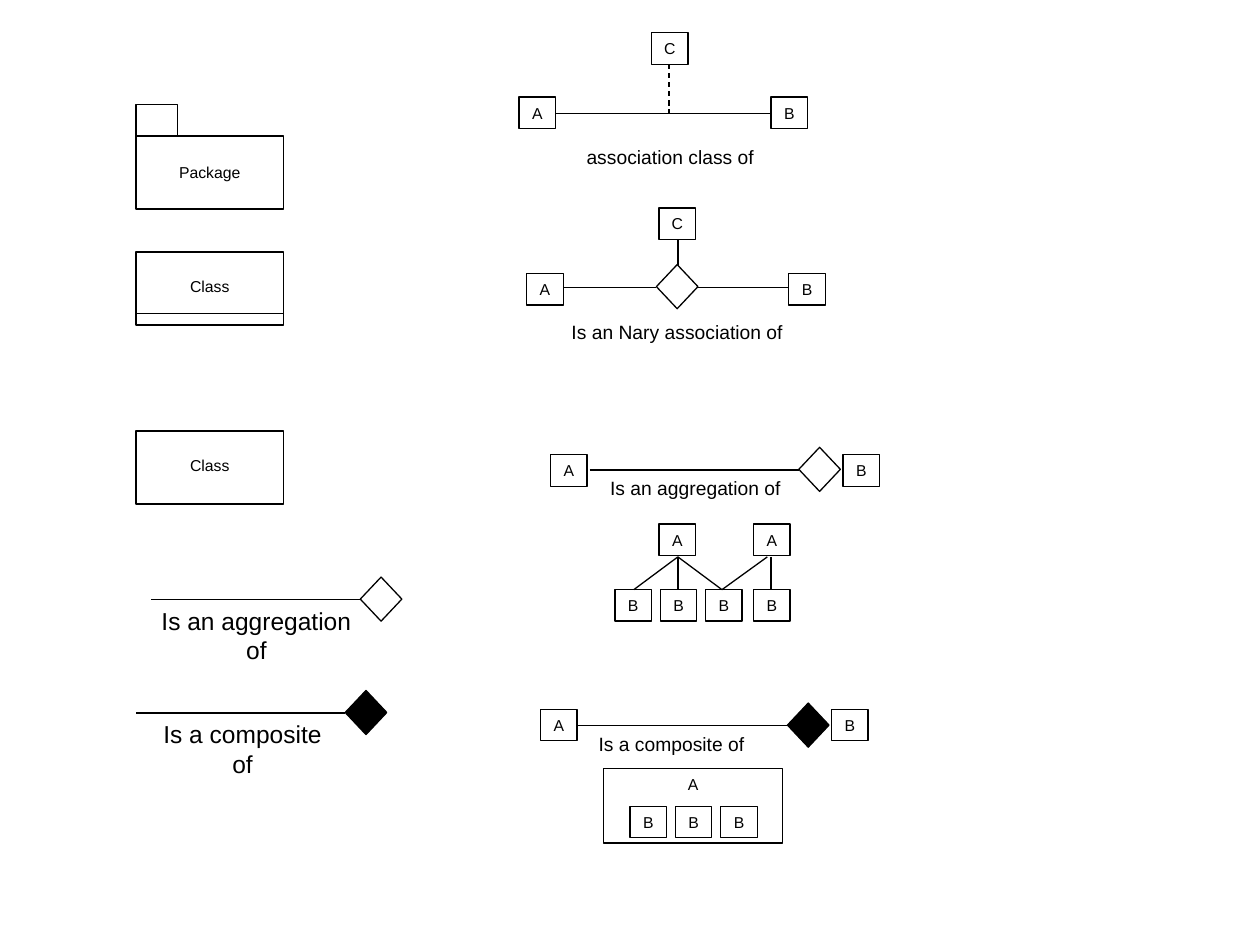
from lxml import etree
from pptx import Presentation
from pptx.dml.color import RGBColor
from pptx.enum.dml import MSO_LINE
from pptx.enum.shapes import MSO_CONNECTOR, MSO_SHAPE
from pptx.enum.text import MSO_ANCHOR, PP_ALIGN
from pptx.oxml.ns import qn
from pptx.util import Inches, Pt

RECT, DIAMOND = MSO_SHAPE.RECTANGLE, MSO_SHAPE.DIAMOND
STRAIGHT, DASH = MSO_CONNECTOR.STRAIGHT, MSO_LINE.DASH
TOP, MIDDLE, CENTER = MSO_ANCHOR.TOP, MSO_ANCHOR.MIDDLE, PP_ALIGN.CENTER
BLACK, WHITE = "000000", "FFFFFF"
TAG_W, TAG_H = 0.29, 0.25
DIA_W, DIA_H = 0.33, 0.35
LINK_W = 1.66
STEP = 0.36

prs = Presentation()
prs.slide_width, prs.slide_height = Inches(10), Inches(7.5)
slide = prs.slides.add_slide(prs.slide_layouts[6])
shapes = slide.shapes


def color(code):
    return RGBColor.from_string(code)


def write(shape, text, size, anchor=MIDDLE, wrap=False, side=0.0):
    frame = shape.text_frame
    frame.text = text
    frame.word_wrap = wrap
    frame.vertical_anchor = anchor
    frame.margin_left = frame.margin_right = Inches(side)
    para = frame.paragraphs[0]
    para.alignment = CENTER
    font = para.runs[0].font
    font.name, font.size = "Arial", Pt(size)
    font.color.rgb = color(BLACK)


def draw(kind, x, y, w, h, fill=WHITE):
    shape = shapes.add_shape(kind, Inches(x), Inches(y), Inches(w), Inches(h))
    shape.shadow.inherit = False
    shape.fill.solid()
    shape.fill.fore_color.rgb = color(fill)
    shape.line.color.rgb = color(BLACK)
    shape.line.width = Pt(0.75)
    return shape


def box(x, y, w, h, text, anchor=MIDDLE):
    shape = draw(RECT, x, y, w, h)
    write(shape, text, 9, anchor)
    return shape


def tag(x, y, text):
    box(x, y, TAG_W, TAG_H, text)


def line(x1, y1, x2, y2, dash=None):
    rule = shapes.add_connector(
        STRAIGHT, Inches(x1), Inches(y1), Inches(x2), Inches(y2))
    rule.line.color.rgb = color(BLACK)
    rule.line.width = Pt(0.75)
    if dash:
        rule.line.dash_style = dash
    props = rule._element.find(qn("p:spPr"))
    etree.SubElement(props, qn("a:effectLst"))


def label(x, y, w, text, size=11, wrap=False):
    area = shapes.add_textbox(Inches(x), Inches(y), Inches(w), Inches(0.29))
    write(area, text, size, TOP, wrap, 0.12 if wrap else 0)


# Left column: package and class symbols
def package(x, y):
    draw(RECT, x, y, 0.33, 0.25)
    box(x, y + 0.25, 1.17, 0.58, "Package")


def entity(x, y, rule=False):
    shape = box(x, y, 1.17, 0.58, "Class")
    shape.text_frame.margin_bottom = Inches(0.09)
    if rule:
        line(x, y + 0.49, x + 1.17, y + 0.49)


# Line that ends in a diamond, with its label below
def link(x, y, fill, text, left, width, size=11, wrap=False):
    line(x, y, x + LINK_W, y)
    draw(DIAMOND, x + LINK_W, y - 0.18, DIA_W, DIA_H, fill)
    label(x + left, y, width, text, size, wrap)


# Association class: A and B joined, C hung on the line
def assoc(x, y):
    mid = y + 0.64
    line(x + TAG_W, mid, x + 2, mid)
    line(x + 1.19, y + TAG_H, x + 1.19, mid, DASH)
    tag(x + 1.05, y, "C")
    tag(x, y + 0.51, "A")
    tag(x + 2, y + 0.51, "B")
    label(x + 0.43, y + 0.84, 1.54, "association class of")


# N-ary association: three classes around a diamond
def nary(x, y):
    mid, hub = y + 0.63, x + 1.03
    line(x + TAG_W, mid, hub, mid)
    line(hub + DIA_W, mid, x + 2.08, mid)
    line(x + 1.2, y + TAG_H, x + 1.2, y + 0.46)
    draw(DIAMOND, hub, y + 0.45, DIA_W, DIA_H)
    tag(x + 1.05, y, "C")
    tag(x, y + 0.52, "A")
    tag(x + 2.08, y + 0.52, "B")
    label(x + 0.25, y + 0.84, 1.89, "Is an Nary association of")


# Aggregation: parts may be shared by two owners
def aggregate(x, y):
    tag(x, y, "A")
    tag(x + 2.32, y, "B")
    link(x + 0.31, y + 0.12, WHITE, "Is an aggregation of", 0.06, 1.56)
    for left in (0.86, 1.61):
        tag(x + left, y + 0.55, "A")
    for left in (0.51, 0.87, 1.23, 1.61):
        tag(x + left, y + 1.07, "B")
    for start, end in ((1.01, 0.66), (1.01, 1.01), (1.01, 1.36),
                       (1.72, 1.36), (1.75, 1.75)):
        line(x + start, y + 0.81, x + end, y + 1.07)


# Composite: parts sit inside their owner
def composite(x, y):
    tag(x, y, "A")
    tag(x + 2.31, y, "B")
    link(x + 0.3, y + 0.13, BLACK, "Is a composite of", 0.06, 1.36)
    box(x + 0.5, y + 0.47, 1.42, 0.59, "A", TOP)
    for i in range(3):
        tag(x + 0.71 + i * STEP, y + 0.77, "B")


package(1.08, 0.83)
entity(1.08, 2, rule=True)
entity(1.08, 3.42)
link(1.2, 4.76, WHITE, "Is an aggregation of", -0.12, 1.91, 14, True)
link(1.08, 5.66, BLACK, "Is a composite of", 0.01, 1.67, 14, True)
assoc(4.12, 0.26)
nary(4.18, 1.65)
aggregate(4.37, 3.61)
composite(4.29, 5.63)

prs.save("out.pptx")
